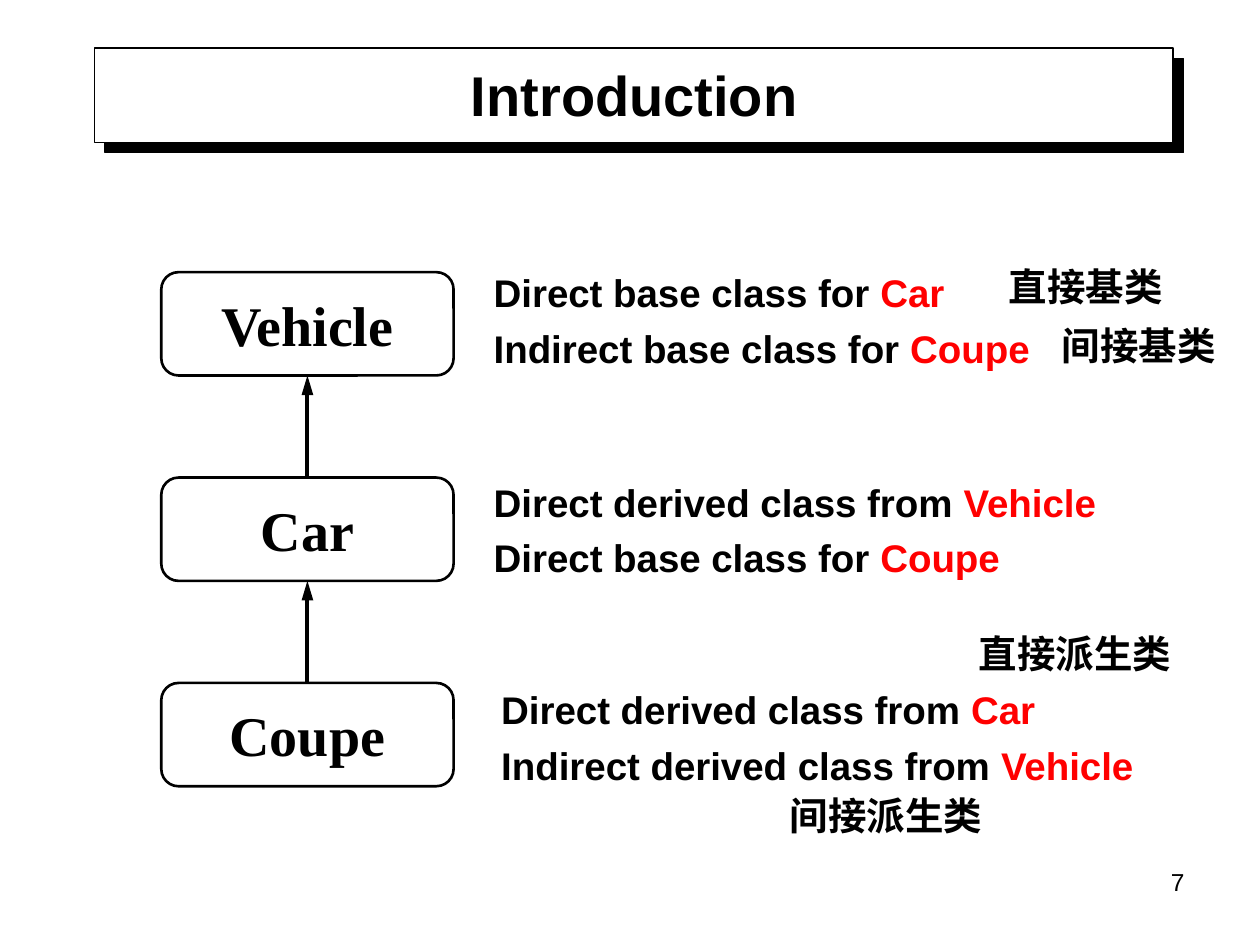
from lxml import etree
from pptx import Presentation
from pptx.dml.color import RGBColor
from pptx.enum.shapes import MSO_CONNECTOR, MSO_SHAPE
from pptx.enum.text import MSO_ANCHOR, PP_ALIGN
from pptx.oxml import parse_xml
from pptx.oxml.ns import nsdecls, qn
from pptx.util import Inches, Pt

BLACK = RGBColor(0x00, 0x00, 0x00)
WHITE = RGBColor(0xFF, 0xFF, 0xFF)
RED = RGBColor(0xFF, 0x00, 0x00)
LEFT, CENTER, RIGHT = PP_ALIGN.LEFT, PP_ALIGN.CENTER, PP_ALIGN.RIGHT
TOP, MIDDLE = MSO_ANCHOR.TOP, MSO_ANCHOR.MIDDLE
RECTANGLE, ROUNDED = MSO_SHAPE.RECTANGLE, MSO_SHAPE.ROUNDED_RECTANGLE
STRAIGHT = MSO_CONNECTOR.STRAIGHT


def write(shape, lines, size=22, font="Arial", bold=True, align=LEFT,
          anchor=TOP, wrap=False, spacing=None):
    """Fill a shape with lines, each a list of (text, colour) runs."""
    frame = shape.text_frame
    frame.word_wrap = wrap
    frame.vertical_anchor = anchor
    for i, line in enumerate(lines):
        paragraph = frame.paragraphs[0] if i == 0 else frame.add_paragraph()
        paragraph.alignment = align
        paragraph.line_spacing = spacing
        for text, color in line:
            run = paragraph.add_run()
            run.text = text
            run.font.size = Pt(size)
            run.font.name = font
            run.font.bold = bold
            run.font.color.rgb = color


def add_outlined(kind, left, top, width, height, line_width):
    box = slide.shapes.add_shape(
        kind, Inches(left), Inches(top), Inches(width), Inches(height))
    box.shadow.inherit = False
    box.line.color.rgb = BLACK
    box.line.width = Pt(line_width)
    return box


prs = Presentation()
prs.slide_width, prs.slide_height = Inches(10), Inches(7.5)
slide = prs.slides.add_slide(prs.slide_layouts[5])

# Title on a framed banner with a hard shadow
title = slide.shapes.title
title.left, title.top = Inches(0.75), Inches(0.37)
title.width, title.height = Inches(8.57), Inches(0.75)
write(title, [[("Introduction", BLACK)]], size=32, align=CENTER,
      anchor=MIDDLE, wrap=True)

banner = add_outlined(RECTANGLE, 0.75, 0.38, 8.56, 0.75, 0.75)
banner.fill.solid()
banner.fill.fore_color.rgb = WHITE
banner_effects = banner.element.spPr.find(qn("a:effectLst"))
banner_effects.append(parse_xml(
    f'<a:outerShdw {nsdecls("a")} blurRad="0" dist="{Pt(8.5)}" dir="2700000" '
    'algn="ctr" rotWithShape="0"><a:srgbClr val="000000"/></a:outerShdw>'))
title.element.addprevious(banner.element)

# Class hierarchy, base class on top
class_boxes = []
for i, class_name in enumerate(["Vehicle", "Car", "Coupe"]):
    class_box = add_outlined(ROUNDED, 1.28, 2.16 + 1.63 * i, 2.32, 0.82, 1.5)
    class_box.fill.background()
    frame = class_box.text_frame
    frame.margin_left = frame.margin_right = 0
    frame.margin_top = frame.margin_bottom = 0
    write(class_box, [[(class_name, BLACK)]], size=32,
          font="Times New Roman", align=CENTER, anchor=MIDDLE)
    class_boxes.append(class_box)

# Inheritance arrows from each derived class up to its base
for base, derived in zip(class_boxes, class_boxes[1:]):
    arrow = slide.shapes.add_connector(STRAIGHT, 0, 0, 0, 0)
    arrow.begin_connect(derived, 0)
    arrow.end_connect(base, 2)
    arrow.line.color.rgb = BLACK
    arrow.line.width = Pt(2.25)
    etree.SubElement(arrow.element.spPr.find(qn("a:ln")), qn("a:tailEnd"),
                     type="triangle", w="med", len="lg")
    etree.SubElement(arrow.element.spPr, qn("a:effectLst"))

# Relations of each class: (left, top, width, [(relation, class), ...])
relations = [
    (3.82, 2.07, 4.54, [("Direct base class for ", "Car"),
                        ("Indirect base class for ", "Coupe")]),
    (3.82, 3.73, 5.09, [("Direct derived class from ", "Vehicle"),
                        ("Direct base class for ", "Coupe")]),
    (3.88, 5.38, 5.3, [("Direct derived class from ", "Car"),
                       ("Indirect derived class from ", "Vehicle")]),
]
for left, top, width, pairs in relations:
    relation_box = slide.shapes.add_textbox(
        Inches(left), Inches(top), Inches(width), Inches(0.87))
    write(relation_box,
          [[(relation, BLACK), (related, RED)] for relation, related in pairs],
          anchor=MIDDLE, spacing=1.2)

# Chinese terms, each box wide enough for one line
terms = [
    ("直接基类", 7.91, 2.04, 1.46),
    ("间接基类", 8.33, 2.51, 1.46),
    ("间接派生类", 6.17, 6.24, 1.78),
    ("直接派生类", 7.67, 4.95, 1.78),
]
for term, left, top, width in terms:
    term_box = slide.shapes.add_textbox(
        Inches(left), Inches(top), Inches(width), Inches(0.47))
    write(term_box, [[(term, BLACK)]])

# Page number
page_number = slide.shapes.add_textbox(
    Inches(7.17), Inches(6.83), Inches(2.33), Inches(0.52))
write(page_number, [[("7", BLACK)]], size=14, bold=False, align=RIGHT,
      wrap=True)

prs.save("out.pptx")
